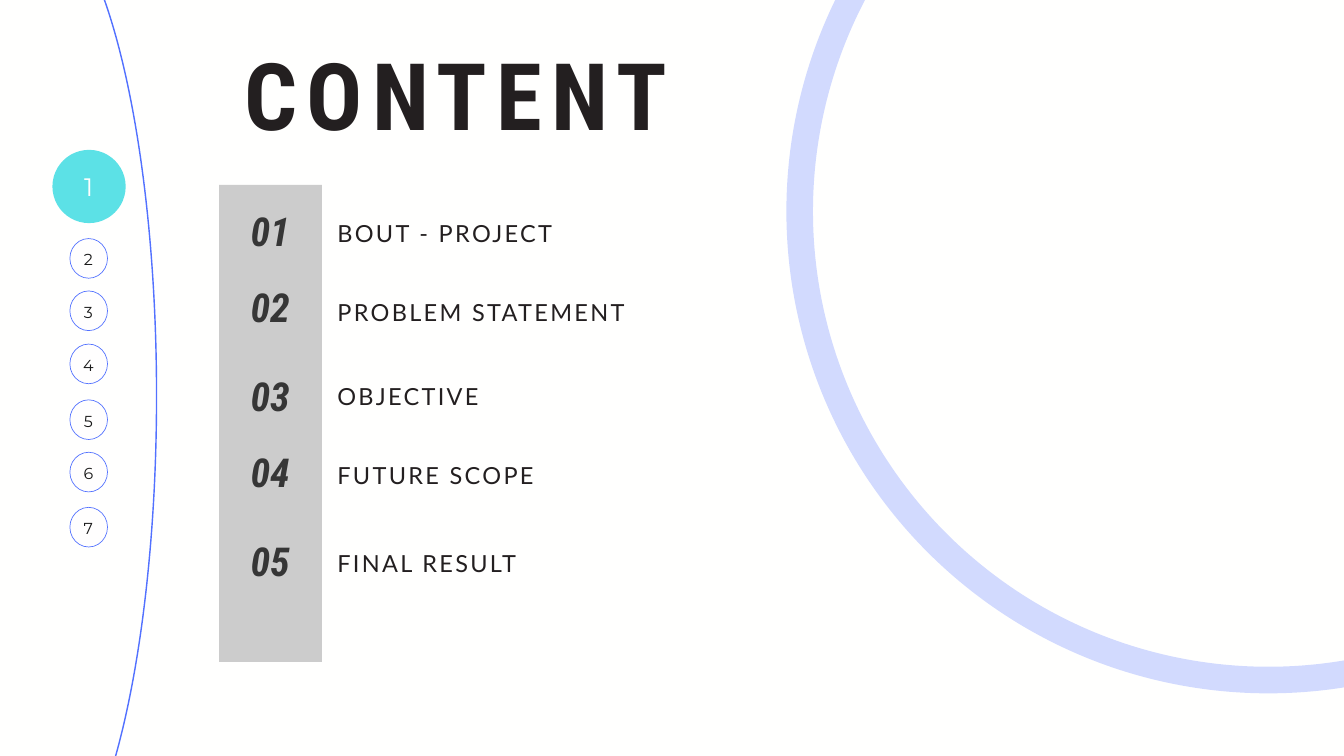
from dataclasses import dataclass
from typing import Optional

from lxml.etree import SubElement
from pptx import Presentation
from pptx.dml.color import RGBColor
from pptx.enum.shapes import MSO_SHAPE as Shape
from pptx.enum.text import MSO_ANCHOR as Anchor, MSO_AUTO_SIZE as AutoSize, PP_ALIGN as Align
from pptx.oxml.ns import qn
from pptx.util import Emu, Pt

PX = 9144
COLORS = {
    "background": "FFFFFE",
    "blue": "5271FF",
    "cyan": "5CE1E6",
    "white": "FFFEFE",
    "gray": "CCCCCC",
    "digit": "191919",
    "number": "363636",
    "ink": "231F20",
}


@dataclass(frozen=True)
class Box:
    left: int
    top: int
    width: int
    height: int

    def emu(self) -> list[Emu]:
        return [Emu(PX * side) for side in (self.left, self.top, self.width, self.height)]


@dataclass(frozen=True)
class TextStyle:
    font: str
    size: float
    line: float
    color: str
    align: Align = Align.CENTER
    bold: bool = False
    italic: bool = False
    tracking: int = 0
    inset: int = 0
    anchor: Anchor = Anchor.TOP
    auto_size: AutoSize = AutoSize.SHAPE_TO_FIT_TEXT


@dataclass(frozen=True)
class Entry:
    number_top: int
    label_top: int
    label: str


TITLE = TextStyle("Roboto Condensed", 99.8, 137.7, "ink", bold=True, tracking=980)
NUMBER = TextStyle("Roboto Condensed", 42.7, 51.3, "number", bold=True, italic=True)
LABEL = TextStyle("Lato", 25.2, 34.8, "ink", align=Align.LEFT, tracking=250)
DIGIT = TextStyle("Montserrat", 17, 23.8, "digit", inset=6, anchor=Anchor.MIDDLE,
                  auto_size=AutoSize.NONE)
CURRENT = TextStyle("Montserrat", 27, 37.8, "white", inset=6, anchor=Anchor.MIDDLE,
                    auto_size=AutoSize.NONE)

ENTRIES = [
    Entry(307, 319, "BOUT - PROJECT"),
    Entry(420, 437, "PROBLEM STATEMENT"),
    Entry(553, 562, "OBJECTIVE"),
    Entry(666, 680, "FUTURE SCOPE"),
    Entry(798, 810, "FINAL RESULT"),
]
PAGE_TOPS = [355, 433, 512, 595, 673, 755]


def rgb(name: str) -> RGBColor:
    return RGBColor.from_string(COLORS[name])


def add_figure(slide, kind: Shape, box: Box, fill: Optional[str] = None,
               line: Optional[str] = None, weight: float = 0,
               opacity: Optional[int] = None) -> None:
    shape = slide.shapes.add_shape(kind, *box.emu())
    shape.shadow.inherit = False
    if fill:
        shape.fill.solid()
        shape.fill.fore_color.rgb = rgb(fill)
    else:
        shape.fill.background()
    if not line:
        shape.line.fill.background()
        return
    shape.line.color.rgb = rgb(line)
    shape.line.width = Pt(weight)
    if opacity is not None:
        color = shape.line._ln.find(".//" + qn("a:srgbClr"))
        SubElement(color, qn("a:alpha"), val=str(opacity * 1000))


def add_text(slide, box: Box, text: str, style: TextStyle) -> None:
    frame = slide.shapes.add_textbox(*box.emu()).text_frame
    frame.word_wrap = True
    frame.auto_size = style.auto_size
    frame.vertical_anchor = style.anchor
    inset = Emu(PX * style.inset)
    frame.margin_left = frame.margin_top = inset
    frame.margin_right = frame.margin_bottom = inset
    paragraph = frame.paragraphs[0]
    paragraph.alignment = style.align
    paragraph.line_spacing = Pt(style.line)
    run = paragraph.add_run()
    run.text = text
    font = run.font
    font.name = style.font
    font.size = Pt(style.size)
    font.bold = style.bold
    font.italic = style.italic
    font.color.rgb = rgb(style.color)
    if style.tracking:
        run._r.get_or_add_rPr().set("spc", str(style.tracking))


def add_page_marker(slide, page: int, top: int) -> None:
    add_figure(slide, Shape.OVAL, Box(104, top, 56, 59), "white", "blue", 0.75)
    add_text(slide, Box(109, top + 4, 45, 50), str(page), DIGIT)


def add_entry(slide, position: int, entry: Entry) -> None:
    add_text(slide, Box(351, entry.number_top, 102, 72), f"{position:02}", NUMBER)
    add_text(slide, Box(502, entry.label_top, 665, 46), entry.label, LABEL)


def main() -> None:
    presentation = Presentation()
    presentation.slide_width = Emu(PX * 2000)
    presentation.slide_height = Emu(PX * 1125)
    slide = presentation.slides.add_slide(presentation.slide_layouts[6])
    slide.background.fill.solid()
    slide.background.fill.fore_color.rgb = rgb("background")

    add_figure(slide, Shape.OVAL, Box(1190, -383, 1395, 1395),
               line="blue", weight=28.5, opacity=26)
    add_figure(slide, Shape.OVAL, Box(-150, -144, 383, 1466), line="blue", weight=1.5)
    for page, top in enumerate(PAGE_TOPS, start=2):
        add_page_marker(slide, page, top)

    add_figure(slide, Shape.RECTANGLE, Box(326, 275, 153, 710), "gray")
    add_text(slide, Box(273, 30, 811, 184), "CONTENT", TITLE)
    for position, entry in enumerate(ENTRIES, start=1):
        add_entry(slide, position, entry)

    add_figure(slide, Shape.OVAL, Box(78, 223, 109, 109), "cyan")
    add_text(slide, Box(88, 226, 88, 96), "1", CURRENT)
    presentation.save("out.pptx")


if __name__ == "__main__":
    main()
